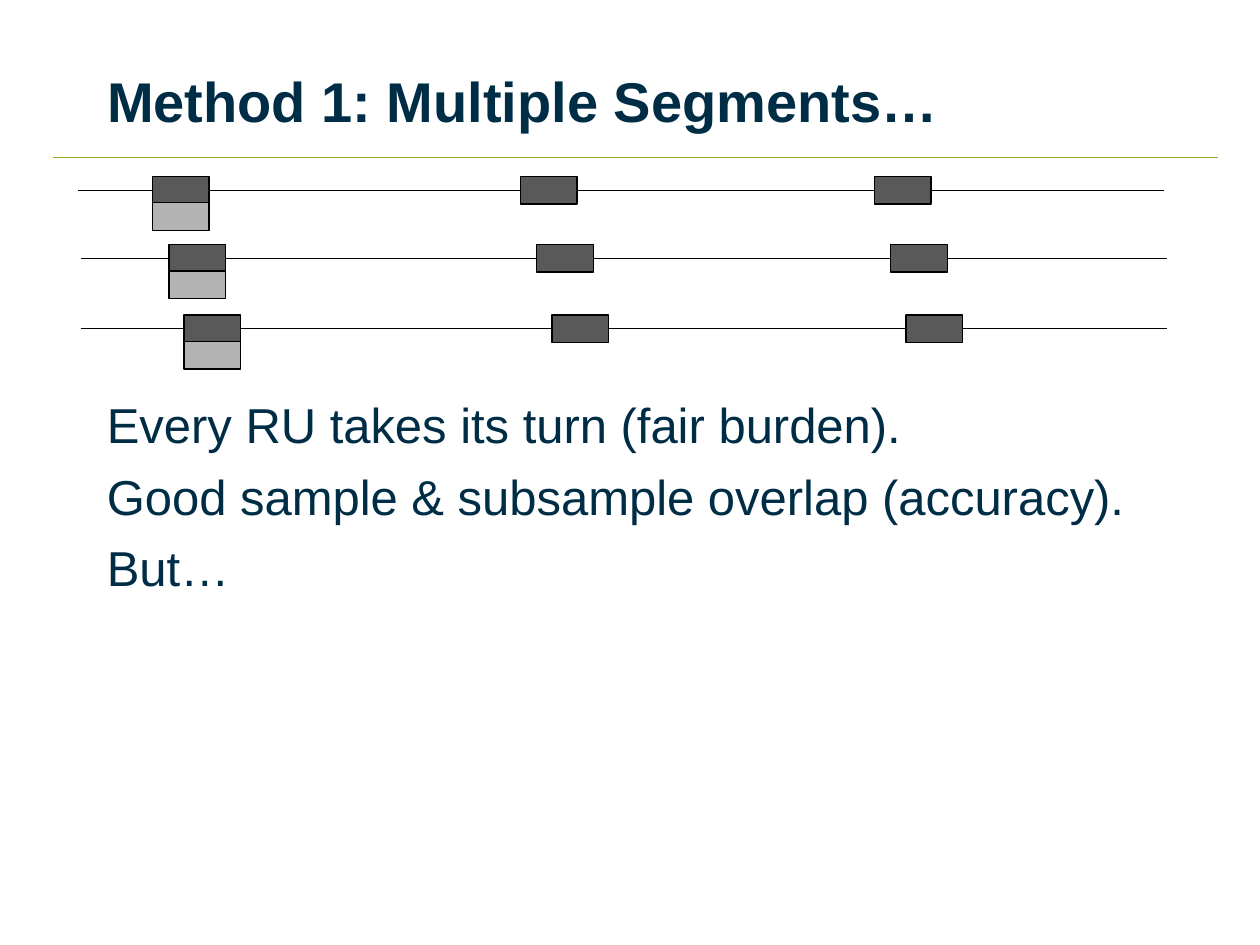
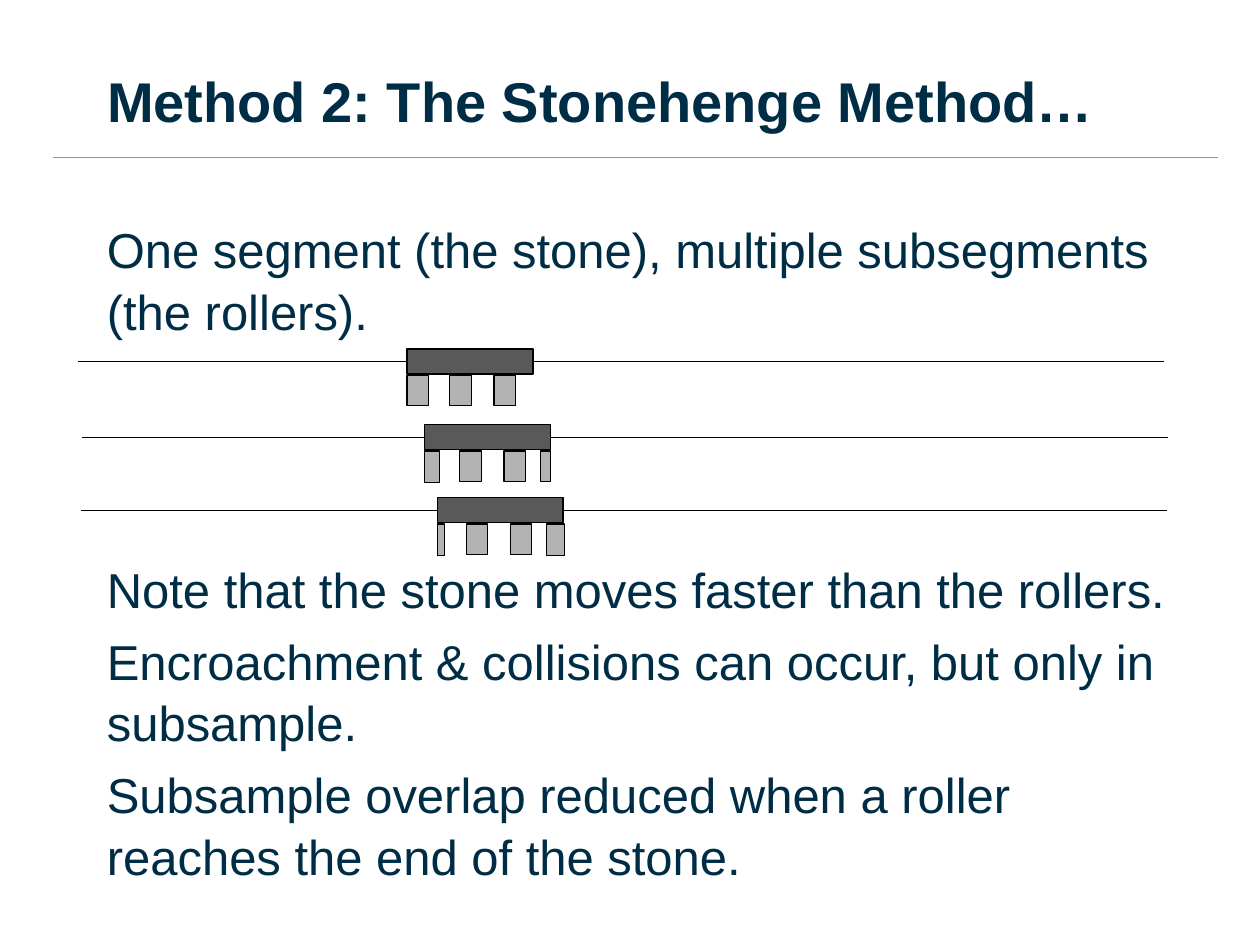
from lxml import etree
from pptx import Presentation
from pptx.dml.color import RGBColor
from pptx.enum.shapes import MSO_CONNECTOR, MSO_SHAPE
from pptx.enum.text import MSO_ANCHOR, MSO_AUTO_SIZE, PP_ALIGN
from pptx.oxml.ns import qn
from pptx.util import Inches, Pt

RECTANGLE = MSO_SHAPE.RECTANGLE
STRAIGHT = MSO_CONNECTOR.STRAIGHT
LEFT = PP_ALIGN.LEFT
NAVY = RGBColor(0x00, 0x2D, 0x46)
OLIVE = RGBColor(0x9B, 0xA9, 0x21)
BLACK = RGBColor(0x00, 0x00, 0x00)
SEGMENT_GRAY = RGBColor(0x59, 0x59, 0x59)
SUBSEGMENT_GRAY = RGBColor(0xB3, 0xB3, 0xB3)

TITLE_FORMAT = {"name": "Arial", "size": Pt(32), "bold": True}
BODY_FORMAT = {"name": "Arial", "size": Pt(28), "bold": False}
TITLE_FRAME = {"vertical_anchor": MSO_ANCHOR.MIDDLE, "word_wrap": True, "auto_size": MSO_AUTO_SIZE.NONE}
BODY_FRAME = {"vertical_anchor": MSO_ANCHOR.TOP, "word_wrap": True, "auto_size": MSO_AUTO_SIZE.NONE}
PARAGRAPH_GAP = 5.6
DIAGRAM_GAP = 123.7
TIMELINE_LENGTH = 8.62

SLIDES = [
    {
        "title": "Method 1: Multiple Segments…",
        "body_box": (0.75, 3.06, 8.5, 3.61),
        "body": [
            ("Every RU takes its turn (fair burden).", PARAGRAPH_GAP),
            ("Good sample & subsample overlap (accuracy).", PARAGRAPH_GAP),
            ("But…", PARAGRAPH_GAP),
        ],
        "segment_size": (0.45, 0.22),
        "segment_offsets": [0, 2.92, 5.73],
        "subsegment_drop": 0.1,
        "timelines": [
            (0.62, 1.51, 1.21, [(0, 0.45, 0.22)]),
            (0.64, 2.05, 1.34, [(0, 0.45, 0.22)]),
            (0.64, 2.61, 1.46, [(0, 0.45, 0.22)]),
        ],
    },
    {
        "title": "Method 2: The Stonehenge Method…",
        "body_box": (0.75, 1.67, 8.64, 5),
        "body": [
            ("One segment (the stone), multiple subsegments (the rollers).", PARAGRAPH_GAP),
            ("Note that the stone moves faster than the rollers.", DIAGRAM_GAP),
            ("Encroachment & collisions can occur, but only in subsample.", PARAGRAPH_GAP),
            ("Subsample overlap reduced when a roller reaches the end of the stone.", PARAGRAPH_GAP),
        ],
        "segment_size": (1, 0.2),
        "segment_offsets": [0],
        "subsegment_drop": 0.11,
        "timelines": [
            (0.62, 2.87, 3.23, [(0, 0.17, 0.24), (0.34, 0.17, 0.24), (0.69, 0.17, 0.24)]),
            (0.65, 3.47, 3.37, [(0, 0.12, 0.25), (0.28, 0.17, 0.24), (0.63, 0.17, 0.24), (0.92, 0.08, 0.24)]),
            (0.64, 4.05, 3.47, [(0, 0.06, 0.25), (0.23, 0.17, 0.24), (0.58, 0.17, 0.24), (0.87, 0.14, 0.25)]),
        ],
    },
]


def add_line(slide, left, top, length, color):
    ends = (Inches(value) for value in (left, top, left + length, top))
    connector = slide.shapes.add_connector(STRAIGHT, *ends)
    connector.line.color.rgb = color
    connector.line.width = Pt(0.75)
    etree.SubElement(connector._element.spPr, qn("a:effectLst"))


def add_block(slide, left, top, width, height, color):
    block = slide.shapes.add_shape(RECTANGLE, *(Inches(value) for value in (left, top, width, height)))
    block.shadow.inherit = False
    block.fill.solid()
    block.fill.fore_color.rgb = color
    block.line.color.rgb = BLACK
    block.line.width = Pt(0.75)


presentation = Presentation()
presentation.slide_width = Inches(10)
presentation.slide_height = Inches(7.5)
title_only = presentation.slide_layouts[5]

for content in SLIDES:
    slide = presentation.slides.add_slide(title_only)
    add_line(slide, 0.42, 1.25, 9.25, OLIVE)

    title = slide.shapes.title
    title.left, title.top = Inches(0.75), Inches(0.17)
    title.width, title.height = Inches(8.5), Inches(1.25)
    title.text_frame.text = content["title"]
    body = slide.shapes.add_textbox(*(Inches(value) for value in content["body_box"]))
    for index, (text, gap) in enumerate(content["body"]):
        paragraph = body.text_frame.paragraphs[0] if index == 0 else body.text_frame.add_paragraph()
        paragraph.text = text
        paragraph.space_before = Pt(gap)
        paragraph.line_spacing = 1.05

    for shape, frame_format, font_format in (
        (title, TITLE_FRAME, TITLE_FORMAT),
        (body, BODY_FRAME, BODY_FORMAT),
    ):
        for name, value in frame_format.items():
            setattr(shape.text_frame, name, value)
        for paragraph in shape.text_frame.paragraphs:
            paragraph.alignment = LEFT
            for run in paragraph.runs:
                run.font.color.rgb = NAVY
                for name, value in font_format.items():
                    setattr(run.font, name, value)

    segment_width, segment_height = content["segment_size"]
    for line_left, line_top, segment_left, subsegments in content["timelines"]:
        add_line(slide, line_left, line_top, TIMELINE_LENGTH, BLACK)
        for offset in content["segment_offsets"]:
            add_block(slide, segment_left + offset, line_top - segment_height / 2,
                      segment_width, segment_height, SEGMENT_GRAY)
        for offset, width, height in subsegments:
            add_block(slide, segment_left + offset, line_top + content["subsegment_drop"],
                      width, height, SUBSEGMENT_GRAY)

presentation.save("out.pptx")
